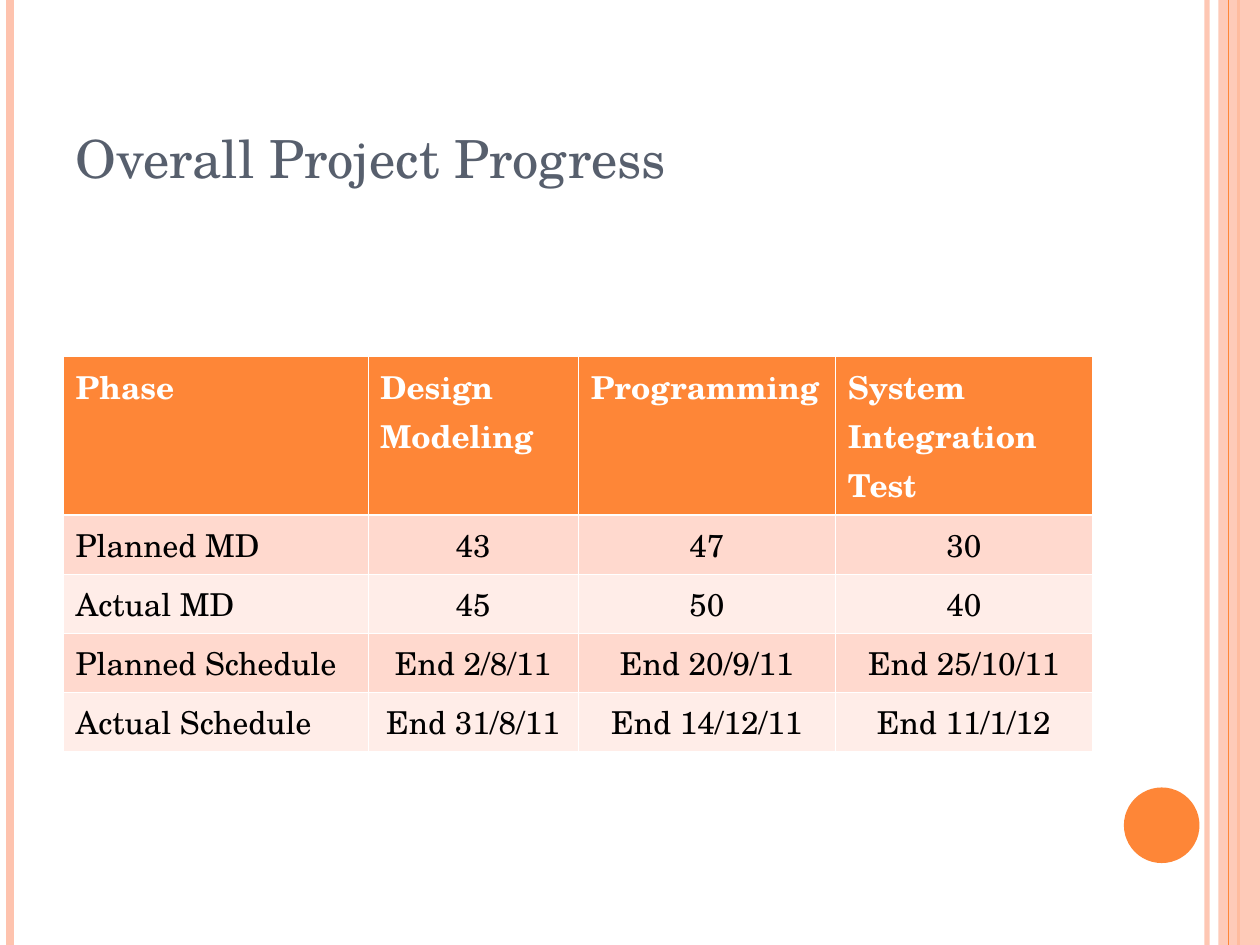
import pptx
import pptx.util
import pptx.dml.color
import pptx.enum.shapes
import pptx.enum.text
import pptx.oxml.ns
import lxml.etree
from pptx.util import Inches

FONT = "TeX Gyre Schola"
ORANGE = "FE8637"
PEACH = "FEC3AE"
WHITE = "FFFFFF"
BANDS = ["FFD9CE", "FFEDE8"]
COLUMN_WIDTHS = [2.42, 1.67, 2.04, 2.04]
ROW_HEIGHTS = [1, 0.41, 0.4, 0.41, 0.4]
PROGRESS = [
    ["Phase", "Design Modeling", "Programming", "System Integration Test"],
    ["Planned MD", "43", "47", "30"],
    ["Actual MD", "45", "50", "40"],
    ["Planned Schedule", "End 2/8/11", "End 20/9/11", "End 25/10/11"],
    ["Actual Schedule", "End 31/8/11", "End 14/12/11", "End 11/1/12"],
]


def rgb(color):
    return pptx.dml.color.RGBColor.from_string(color)


def add_element(parent, tag, **attributes):
    return lxml.etree.SubElement(parent, pptx.oxml.ns.qn(tag), **attributes)


def set_opacity(element, percent):
    color = element.find(".//" + pptx.oxml.ns.qn("a:srgbClr"))
    add_element(color, "a:alpha", val=str(percent * 1000))


def format_text(para, size, color, bold=False):
    for span in para.runs:
        span.font.name = FONT
        span.font.size = pptx.util.Pt(size)
        span.font.bold = bold
        span.font.color.rgb = rgb(color)


def add_stripe(page, x, color, width, opacity=100):
    stripe = page.shapes.add_connector(
        pptx.enum.shapes.MSO_CONNECTOR.STRAIGHT,
        Inches(x), Inches(0), Inches(x), Inches(7.5))
    stripe.line.color.rgb = rgb(color)
    stripe.line.width = pptx.util.Pt(width)
    properties = stripe._element.spPr
    if opacity < 100:
        set_opacity(properties, opacity)
    add_element(properties, "a:effectLst")


def add_block(page, kind, left, top, width, height, color, opacity=100):
    block = page.shapes.add_shape(
        kind, Inches(left), Inches(top), Inches(width), Inches(height))
    block.shadow.inherit = False
    block.fill.solid()
    block.fill.fore_color.rgb = rgb(color)
    block.line.fill.background()
    if opacity < 100:
        set_opacity(block._element.spPr, opacity)


def add_decoration(page):
    kinds = pptx.enum.shapes.MSO_SHAPE
    add_stripe(page, 9.58, PEACH, 3, 93)
    add_stripe(page, 0.08, PEACH, 4.5)
    add_stripe(page, 9.83, ORANGE, 1.5)
    add_block(page, kinds.RECTANGLE, 9.67, 0, 0.33, 7.5, PEACH, 87)
    add_stripe(page, 9.75, ORANGE, 0.75)
    add_block(page, kinds.OVAL, 8.92, 6.25, 0.6, 0.6, ORANGE)


def set_title(page, text):
    title = page.shapes.title
    title.left, title.top = Inches(0.5), Inches(0.3)
    title.width, title.height = Inches(8.17), Inches(1.25)
    title.text_frame.text = text
    title.text_frame.vertical_anchor = pptx.enum.text.MSO_ANCHOR.BOTTOM
    para = title.text_frame.paragraphs[0]
    para.alignment = pptx.enum.text.PP_ALIGN.LEFT
    format_text(para, 30, "575F6D")


def set_borders(cell, top, bottom):
    properties = cell._tc.get_or_add_tcPr()
    widths = {"a:lnL": 0.45, "a:lnR": 0.45, "a:lnT": top, "a:lnB": bottom}
    for tag, width in widths.items():
        line = add_element(properties, tag, w=str(pptx.util.Pt(width)))
        fill = add_element(line, "a:solidFill")
        add_element(fill, "a:srgbClr", val=WHITE)


def fill_cell(cell, text, row, column):
    header = row == 0
    set_borders(cell, 1.47 if row == 1 else 0.45, 1.47 if header else 0.45)
    cell.fill.solid()
    cell.fill.fore_color.rgb = rgb(ORANGE if header else BANDS[(row - 1) % 2])
    cell.text_frame.text = text
    para = cell.text_frame.paragraphs[0]
    if not header and column > 0:
        para.alignment = pptx.enum.text.PP_ALIGN.CENTER
    format_text(para, 18, WHITE if header else "000000", header)


def add_progress_table(page):
    table = page.shapes.add_table(
        len(PROGRESS), len(COLUMN_WIDTHS), Inches(0.5), Inches(2.83),
        Inches(sum(COLUMN_WIDTHS)), Inches(sum(ROW_HEIGHTS))).table
    for column, width in zip(table.columns, COLUMN_WIDTHS):
        column.width = Inches(width)
    for row, height in zip(table.rows, ROW_HEIGHTS):
        row.height = Inches(height)
    for row, texts in enumerate(PROGRESS):
        for column, text in enumerate(texts):
            fill_cell(table.cell(row, column), text, row, column)


def main():
    deck = pptx.Presentation()
    deck.slide_width, deck.slide_height = Inches(10), Inches(7.5)
    page = deck.slides.add_slide(deck.slide_layouts[5])
    add_decoration(page)
    set_title(page, "Overall Project Progress")
    add_progress_table(page)
    deck.save("out.pptx")


if __name__ == "__main__":
    main()
